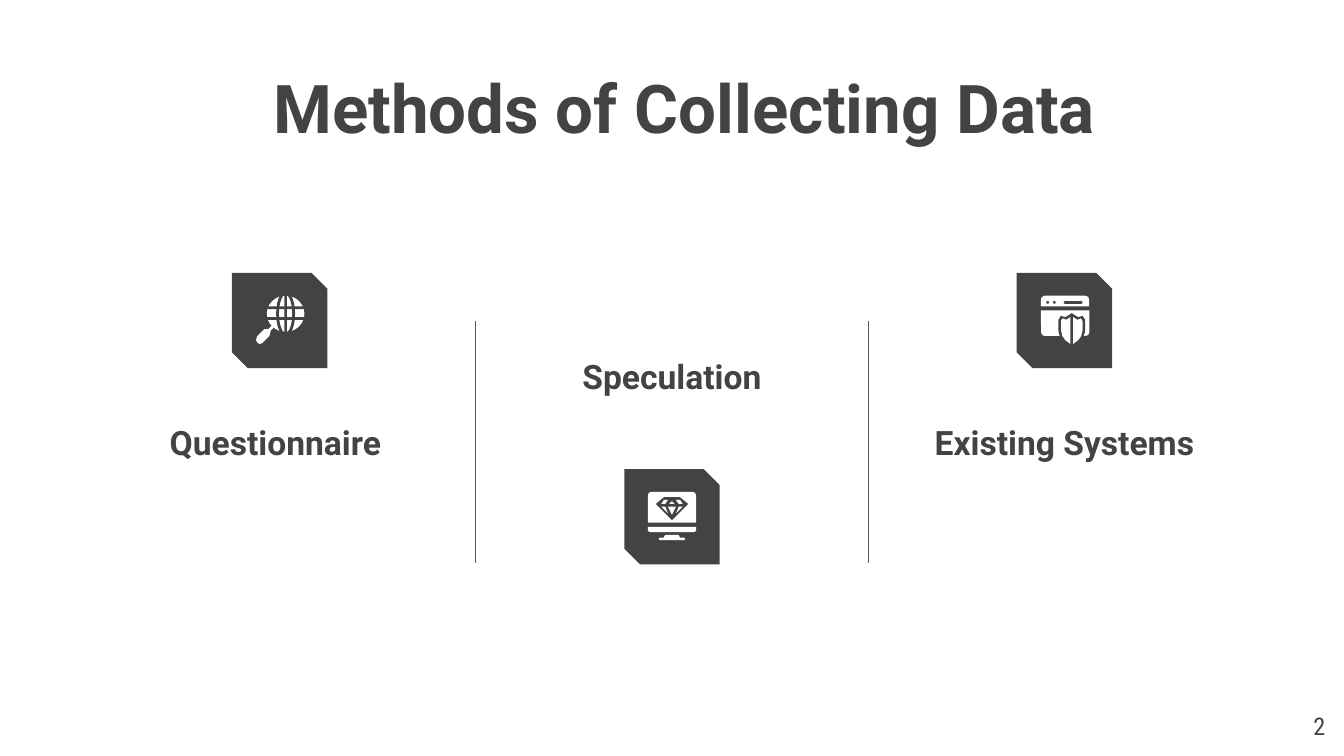
from lxml import etree
from pptx import Presentation
from pptx.dml.color import RGBColor
from pptx.enum.shapes import MSO_CONNECTOR, MSO_SHAPE
from pptx.enum.text import MSO_ANCHOR, MSO_AUTO_SIZE, PP_ALIGN
from pptx.oxml.ns import qn
from pptx.util import Inches, Pt

STRAIGHT = MSO_CONNECTOR.STRAIGHT
RECTANGLE, OVAL = MSO_SHAPE.RECTANGLE, MSO_SHAPE.OVAL
ROUNDED, ROUNDED_TOP = MSO_SHAPE.ROUNDED_RECTANGLE, MSO_SHAPE.ROUND_2_SAME_RECTANGLE
SNIPPED = MSO_SHAPE.SNIP_2_DIAG_RECTANGLE
TOP, BOTTOM = MSO_ANCHOR.TOP, MSO_ANCHOR.BOTTOM
CENTER, RIGHT = PP_ALIGN.CENTER, PP_ALIGN.RIGHT

COLORS = {"dark": "434343", "white": "FFFFFF", "divider": "595959"}
SLIDE_WIDTH = 10
COLUMN_WIDTH = 2.92
TILE_SIZE = 0.71


def color(name):
    return RGBColor.from_string(COLORS[name])


def write_text(shape, text, size, font="Roboto", bold=True, align=CENTER, anchor=TOP):
    frame = shape.text_frame
    frame.word_wrap = True
    frame.auto_size = MSO_AUTO_SIZE.NONE
    frame.vertical_anchor = anchor
    frame.margin_left = frame.margin_right = Inches(0.1)
    frame.margin_top = frame.margin_bottom = Inches(0.1)
    paragraph = frame.paragraphs[0]
    paragraph.text = text
    paragraph.alignment = align
    paragraph.font.name = font
    paragraph.font.size = Pt(size)
    paragraph.font.bold = bold
    paragraph.font.color.rgb = color("dark")


def add_title(slide, text):
    title = slide.shapes.title
    title.left, title.top = Inches(1.2), Inches(0.39)
    title.width, title.height = Inches(7.91), Inches(1.03)
    write_text(title, text, 36)


def add_text(slide, text, box, size, **style):
    shape = slide.shapes.add_textbox(*map(Inches, box))
    write_text(shape, text, size, **style)


def add_divider(slide, x):
    line = slide.shapes.add_connector(
        STRAIGHT, Inches(x), Inches(2.39), Inches(x), Inches(4.19))
    line.line.color.rgb = color("divider")
    line.line.width = Pt(0.75)
    etree.SubElement(line._element.spPr, qn("a:effectLst"))


def mirrored(half, center):
    """Close a symmetric outline from (offset, y) points listed on one side."""
    right = [(center + x, y) for x, y in half]
    left = [(center - x, y) for x, y in reversed(half)]
    return right + left


class Tile:
    """A dark snipped tile; its symbol is drawn in inches from the tile corner."""

    def __init__(self, slide, left, top):
        self.left, self.top = left, top
        self.shapes = slide.shapes.add_group_shape().shapes
        self.add(SNIPPED, (0, 0, TILE_SIZE, TILE_SIZE), "dark")

    def paint(self, shape, fill):
        shape.shadow.inherit = False
        shape.fill.solid()
        shape.fill.fore_color.rgb = color(fill)
        shape.line.fill.background()
        return shape

    def add(self, preset, box, fill="white", corner=None, rotation=0):
        x, y, width, height = box
        shape = self.shapes.add_shape(
            preset, Inches(self.left + x), Inches(self.top + y),
            Inches(width), Inches(height))
        if corner is not None:
            shape.adjustments[0] = corner
        shape.rotation = rotation
        return self.paint(shape, fill)

    def polygon(self, points, fill="white"):
        corners = [(Inches(self.left + x), Inches(self.top + y)) for x, y in points]
        builder = self.shapes.build_freeform(*corners[0])
        builder.add_line_segments(corners[1:], close=True)
        self.paint(builder.convert_to_shape(), fill)


def draw_globe_search(tile):
    tile.add(OVAL, (0.26, 0.17, 0.28, 0.27))
    meridian = tile.add(OVAL, (0.34, 0.15, 0.12, 0.31))
    meridian.fill.background()
    meridian.line.color.rgb = color("dark")
    meridian.line.width = Pt(1.5)
    tile.add(RECTANGLE, (0.39, 0.15, 0.02, 0.31), "dark")
    for y in (0.25, 0.33):
        tile.add(RECTANGLE, (0.25, y, 0.3, 0.02), "dark")
    tile.polygon([(0.3, 0.39), (0.27, 0.42), (0.24, 0.42), (0.19, 0.47),
                  (0.18, 0.5), (0.19, 0.52), (0.21, 0.53), (0.23, 0.52),
                  (0.28, 0.47), (0.29, 0.43), (0.32, 0.4)])


def draw_monitor(tile):
    center = TILE_SIZE / 2
    screen_left = center - 0.18
    tile.add(ROUNDED_TOP, (screen_left, 0.17, 0.36, 0.23), corner=0.13)
    tile.add(ROUNDED_TOP, (screen_left, 0.43, 0.36, 0.04), corner=0.5, rotation=180)
    tile.polygon(mirrored([(0.05, 0.49), (0.06, 0.51), (0.09, 0.51),
                           (0.1, 0.52), (0.09, 0.53)], center))
    tile.polygon(mirrored([(0.06, 0.21), (0.12, 0.26), (0, 0.38)], center), "dark")
    tile.polygon(mirrored([(0, 0.24), (0.02, 0.26)], center))
    tile.polygon(mirrored([(0.03, 0.28), (0, 0.34)], center))
    crown = [(0.03, 0.23), (0.06, 0.23), (0.08, 0.26), (0.05, 0.26)]
    pavilion = [(0.05, 0.28), (0.08, 0.28), (0.03, 0.33)]
    for facet in (crown, pavilion):
        for side in (-1, 1):
            tile.polygon([(center + side * x, y) for x, y in facet])


def draw_browser_shield(tile):
    center = 0.41
    tile.add(ROUNDED_TOP, (0.18, 0.17, 0.36, 0.08), corner=0.4)
    tile.add(ROUNDED_TOP, (0.18, 0.28, 0.36, 0.19), corner=0.16, rotation=180)
    for x in (0.22, 0.27):
        tile.add(OVAL, (x, 0.21, 0.02, 0.02), "dark")
    tile.add(ROUNDED, (0.35, 0.21, 0.14, 0.02), "dark", corner=0.5)
    tile.polygon(mirrored([(0, 0.3), (0.03, 0.32), (0.05, 0.33), (0.08, 0.32),
                           (0.1, 0.35), (0.1, 0.43), (0.09, 0.47), (0, 0.55)],
                          center), "dark")
    half = [(0.01, 0.33), (0.04, 0.35), (0.07, 0.34), (0.08, 0.36),
            (0.08, 0.43), (0.07, 0.47), (0.05, 0.5), (0.01, 0.53)]
    for side in (-1, 1):
        tile.polygon([(center + side * x, y) for x, y in half])


def main():
    presentation = Presentation()
    presentation.slide_width = Inches(SLIDE_WIDTH)
    presentation.slide_height = Inches(SLIDE_WIDTH * 9 / 16)
    slide = presentation.slides.add_slide(presentation.slide_layouts[5])
    add_title(slide, "Methods of Collecting Data ")

    methods = [
        ("Questionnaire ", 3.07, 2.03, draw_globe_search),
        ("Speculation", 2.58, 3.49, draw_monitor),
        ("Existing Systems", 3.07, 2.03, draw_browser_shield),
    ]
    first_left = (SLIDE_WIDTH - len(methods) * COLUMN_WIDTH) / 2
    for column, (name, label_top, tile_top, draw_symbol) in enumerate(methods):
        left = first_left + column * COLUMN_WIDTH
        add_text(slide, name, (left, label_top, COLUMN_WIDTH, 0.47), 18, anchor=BOTTOM)
        if column:
            add_divider(slide, left)
        tile_left = left + (COLUMN_WIDTH - TILE_SIZE) / 2
        draw_symbol(Tile(slide, tile_left, tile_top))

    add_text(slide, "2", (9.36, 5.19, 0.6, 0.43), 13,
             font="Roboto Condensed", bold=False, align=RIGHT)
    presentation.save("out.pptx")


if __name__ == "__main__":
    main()
